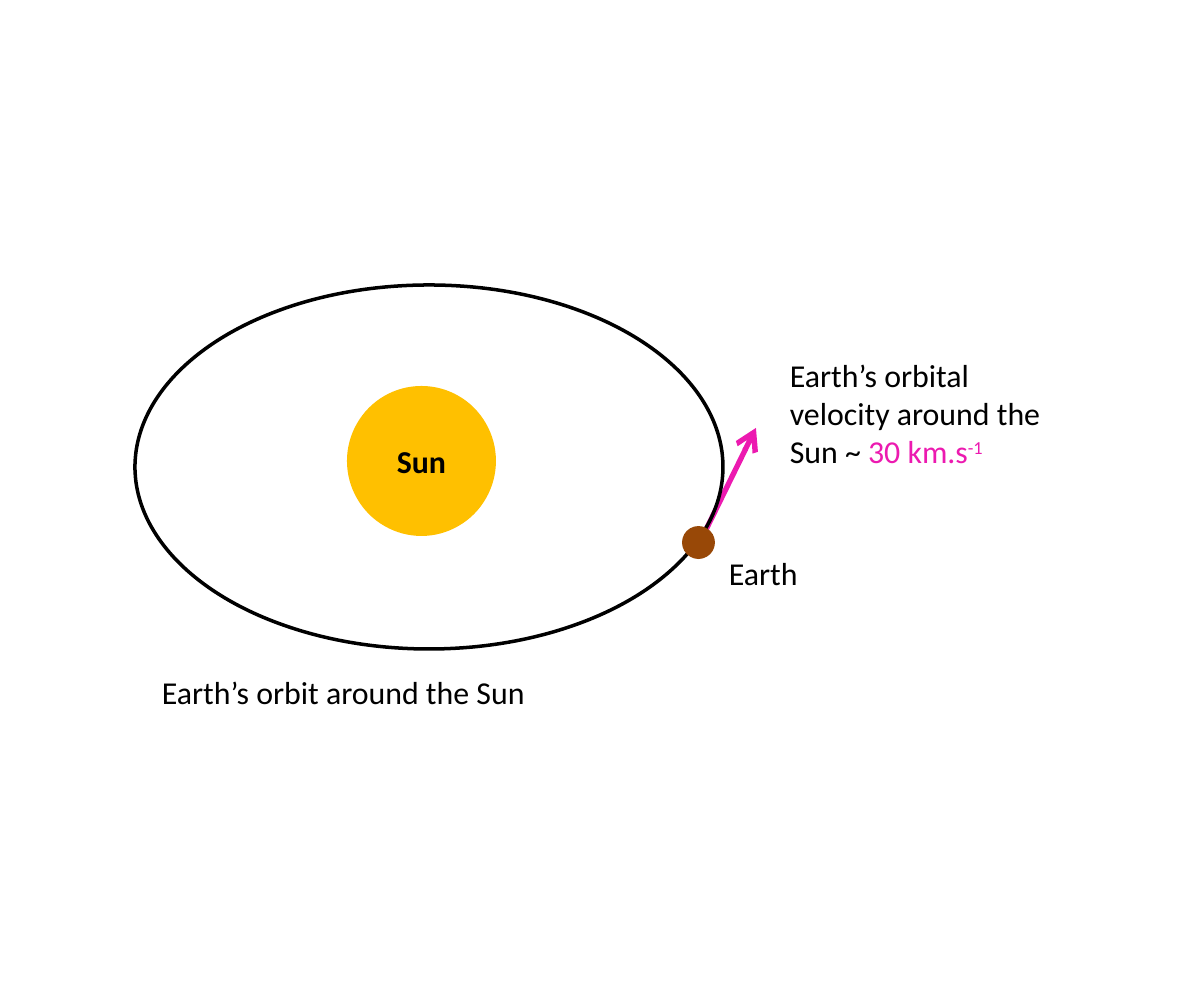
"""Build a slide showing the Earth's orbital velocity around the Sun."""
from lxml import etree
from pptx import Presentation, util as u
from pptx.dml.color import RGBColor
from pptx.enum import shapes, text
from pptx.oxml.ns import qn

PX = 3593
BLACK = RGBColor(0x00, 0x00, 0x00)
GOLD = RGBColor(0xFF, 0xC0, 0x00)
BROWN = RGBColor(0x98, 0x48, 0x07)
PINK = RGBColor(0xEC, 0x1A, 0xB0)


def px(*lengths):
    """Turn pixel lengths into EMU."""
    return [u.Emu(length * PX) for length in lengths]


def write(para, words, color=BLACK, bold=False, baseline=None):
    """Add a formatted run to a paragraph."""
    span = para.add_run()
    span.text = words
    span.font.name = "Calibri"
    span.font.size = u.Pt(9)
    span.font.bold = bold
    span.font.color.rgb = color
    if baseline:
        span.font._element.set("baseline", str(baseline))


deck = Presentation()
deck.slide_width, deck.slide_height = px(1204, 1003)
layout = deck.slide_layouts[6]
for holder in [*layout.placeholders, *deck.slide_master.placeholders]:
    holder.element.getparent().remove(holder.element)
page = deck.slides.add_slide(layout)

velocity = page.shapes.add_connector(shapes.MSO_CONNECTOR.STRAIGHT, *px(701, 540, 756, 428))
velocity.line.color.rgb = PINK
velocity.line.width = u.Pt(1.5)
etree.SubElement(velocity.line._get_or_add_ln(), qn("a:tailEnd"), type="arrow")
etree.SubElement(velocity._element.spPr, qn("a:effectLst"))

for place, fill, label in [
    ((347, 386, 149, 150), GOLD, "Sun"),
    ((135, 285, 588, 364), None, None),
    ((682, 526, 33, 33), BROWN, None),
]:
    body = page.shapes.add_shape(shapes.MSO_SHAPE.OVAL, *px(*place))
    body.shadow.inherit = False
    if fill:
        body.fill.solid()
        body.fill.fore_color.rgb = fill
        body.line.fill.background()
    else:
        body.fill.background()
        body.line.color.rgb = BLACK
        body.line.width = u.Pt(1)
    if label:
        body.text_frame.vertical_anchor = text.MSO_ANCHOR.MIDDLE
        para = body.text_frame.paragraphs[0]
        para.alignment = text.PP_ALIGN.CENTER
        write(para, label, bold=True)

for place, wrap, spans in [
    ((704, 541, 122, 64), False, [("Earth", {})]),
    ((137, 660, 420, 64), False, [("Earth’s orbit around the Sun", {})]),
    ((765, 343, 318, 143), True, [
        ("Earth’s orbital velocity around the Sun ~ ", {}),
        ("30 km.s", {"color": PINK}),
        ("-1", {"color": PINK, "baseline": 30000}),
    ]),
]:
    box = page.shapes.add_textbox(*px(*place))
    box.text_frame.word_wrap = wrap
    box.text_frame.auto_size = text.MSO_AUTO_SIZE.SHAPE_TO_FIT_TEXT
    for words, style in spans:
        write(box.text_frame.paragraphs[0], words, **style)

deck.save("out.pptx")
